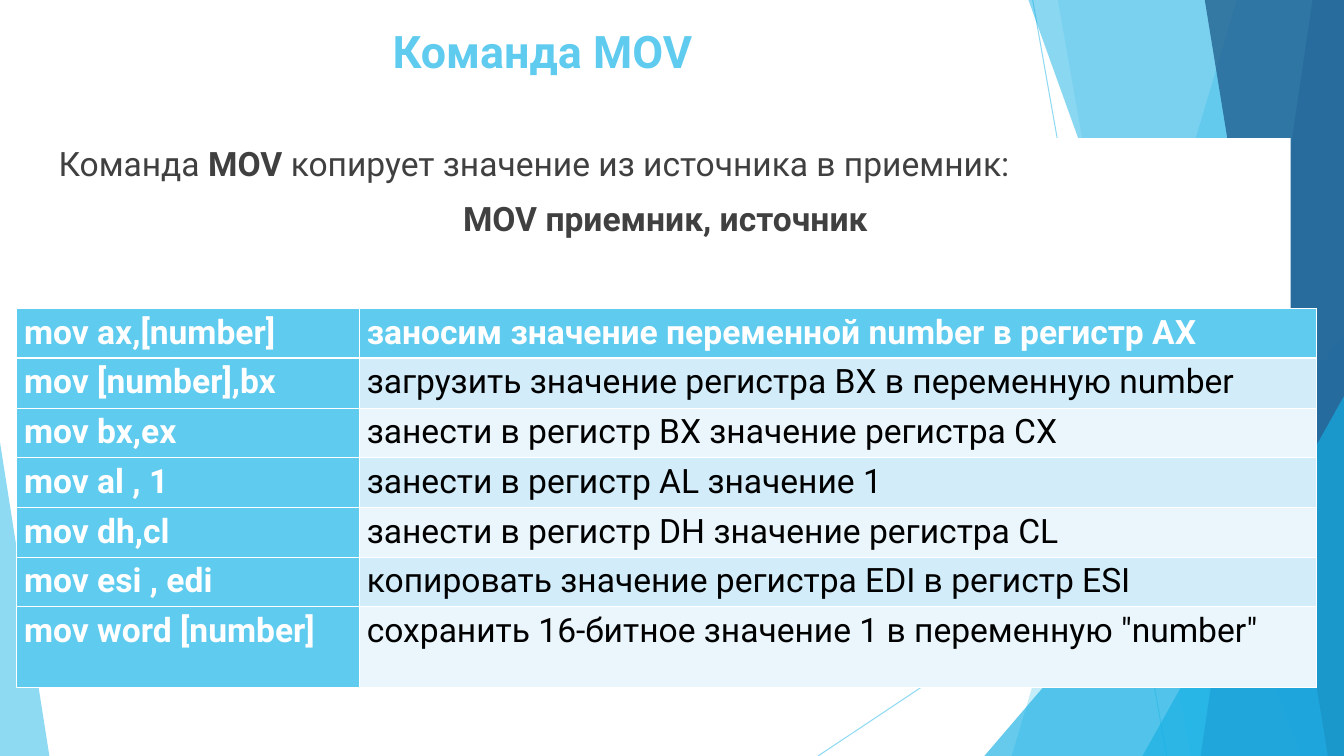
from lxml import etree
from pptx import Presentation
from pptx.dml.color import RGBColor
from pptx.enum import shapes, text
from pptx.oxml.ns import qn
from pptx.util import Pt

W, H = 960.48, 540
SKY, AZURE, BLUE, NAVY = "5FCBEF", "17B0E4", "2E83C3", "236292"
WHITE, BLACK, GREY = "FFFFFF", "000000", "404040"
PALE, PALER = "D2ECF9", "EAF6FC"

ROWS = [
    ("mov ax,[number]", "заносим значение переменной number в регистр АХ"),
    ("mov [number],bx", "загрузить значение регистра ВХ в переменную number"),
    ("mov bx,ex", "занести в регистр ВХ значение регистра СХ"),
    ("mov al , 1", "занести в регистр AL значение 1"),
    ("mov dh,сl", "занести в регистр DH значение регистра CL"),
    ("mov esi , edi", "копировать значение регистра EDI в регистр ESI"),
    ("mov word [number]", "сохранить 16-битное значение 1 в переменную \"number\""),
]


def rgb(color):
    return RGBColor.from_string(color)


def add_run(p, content, size=24, color=GREY, bold=False):
    r = p.add_run()
    r.text = content
    r.font.name = "Roboto"
    r.font.size = Pt(size)
    r.font.bold = bold
    r.font.color.rgb = rgb(color)


def set_alpha(sp, percent):
    for clr in sp.element.iter(qn("a:srgbClr")):
        etree.SubElement(clr, qn("a:alpha"), val=str(percent * 1000))


def paint(sp, color, alpha):
    sp.shadow.inherit = False
    sp.fill.solid()
    sp.fill.fore_color.rgb = rgb(color)
    sp.line.fill.background()
    set_alpha(sp, alpha)


def place(sp, box):
    sp.left, sp.top, sp.width, sp.height = map(Pt, box)


def add_ray(s, x1, y1, x2, y2):
    ln = s.shapes.add_connector(shapes.MSO_CONNECTOR.STRAIGHT,
                                Pt(x1), Pt(y1), Pt(x2), Pt(y2))
    ln.line.color.rgb = rgb(SKY)
    ln.line.width = Pt(0.75)
    etree.SubElement(ln.element.spPr, qn("a:effectLst"))
    set_alpha(ln, 70)


def add_band(s, box, top_x, bottom_x, color, alpha):
    """Full-height band with a slanted left edge, ending at the box's right."""
    x, y, w, h = box
    fb = s.shapes.build_freeform(Pt(x + top_x), Pt(y))
    fb.add_line_segments([(Pt(x + w), Pt(y)), (Pt(x + w), Pt(y + h)),
                          (Pt(x + bottom_x), Pt(y + h))], close=True)
    paint(fb.convert_to_shape(), color, alpha)


def add_triangle(s, box, apex, color, alpha):
    sp = s.shapes.add_shape(shapes.MSO_SHAPE.ISOSCELES_TRIANGLE, *map(Pt, box))
    sp.adjustments[0] = apex
    paint(sp, color, alpha)


def add_decoration(s, box):
    x, y, w, h = box
    right, bottom = x + w, y + h
    add_ray(s, x + 738, y, x + 833.8, bottom)
    add_ray(s, right, y + 290, x + 584.6, bottom)
    # Bands and triangles on the right
    add_band(s, box, 884, 723, SKY, 36)
    add_band(s, box, 756, 851, SKY, 20)
    add_triangle(s, (right - 257, bottom - 300, 257, 300), 1, AZURE, 66)
    add_band(s, box, 735, 929.5, AZURE, 50)
    add_band(s, box, 938, 858, BLUE, 70)
    add_band(s, box, 861, 949, NAVY, 80)
    add_triangle(s, (right - 144, bottom - 257, 144, 257), 1, AZURE, 66)
    # Corner triangle on the left
    add_triangle(s, (x, bottom - 224, 35.3, 224), 0, SKY, 70)


def add_title(s, box):
    title = s.shapes.title
    title.element.getparent().append(title.element)  # in front of the bands
    place(title, box)
    tf = title.text_frame
    tf.auto_size = text.MSO_AUTO_SIZE.NONE
    p = tf.paragraphs[0]
    p.alignment = text.PP_ALIGN.CENTER
    add_run(p, "Команда MOV ", size=32, color=SKY, bold=True)


def add_body(s, box):
    body = s.placeholders[1]
    body.element.getparent().append(body.element)
    place(body, box)
    body.fill.solid()
    body.fill.fore_color.rgb = rgb(WHITE)
    tf = body.text_frame
    tf.auto_size = text.MSO_AUTO_SIZE.NONE
    intro, syntax = tf.paragraphs[0], tf.add_paragraph()
    for p in (intro, syntax):
        p.space_before = Pt(10)
        pPr = p._p.get_or_add_pPr()
        pPr.set("marL", "0")
        pPr.set("indent", "0")
        etree.SubElement(pPr, qn("a:buNone"))
    add_run(intro, "Команда")
    add_run(intro, " MOV ", bold=True)
    add_run(intro, "копирует значение из источника в приемник:")
    syntax.alignment = text.PP_ALIGN.CENTER
    add_run(syntax, "MOV приемник, источник ", bold=True)


def set_borders(cell, **widths):
    tcPr = cell._tc.get_or_add_tcPr()
    for side in "LRTB":
        ln = etree.SubElement(tcPr, qn("a:ln" + side),
                              w=str(Pt(widths.get(side, 0.45))))
        fill = etree.SubElement(ln, qn("a:solidFill"))
        etree.SubElement(fill, qn("a:srgbClr"), val=WHITE)


def add_commands(s, box):
    x, y, w, h = box
    first_col, row_h = 245, 35.5
    tbl = s.shapes.add_table(len(ROWS), 2, *map(Pt, box)).table
    tbl.columns[0].width = Pt(first_col)
    tbl.columns[1].width = Pt(w - first_col)
    last = len(ROWS) - 1
    for i, row in enumerate(ROWS):
        tbl.rows[i].height = Pt(row_h if i < last else h - last * row_h)
        for j, content in enumerate(row):
            cell = tbl.cell(i, j)
            strong = i == 0 or j == 0
            cell.margin_left = cell.margin_right = Pt(5.4)
            cell.margin_top = cell.margin_bottom = Pt(3.3)
            set_borders(cell, **({"B": 1.47} if i == 0 else {"T": 1.47} if i == 1 else {}))
            cell.fill.solid()
            cell.fill.fore_color.rgb = rgb(SKY if strong else PALE if i % 2 else PALER)
            p = cell.text_frame.paragraphs[0]
            p.alignment = text.PP_ALIGN.JUSTIFY
            add_run(p, content, color=WHITE if strong else BLACK, bold=strong)


def main():
    prs = Presentation()
    prs.slide_width, prs.slide_height = Pt(W), Pt(H)
    s = prs.slides.add_slide(prs.slide_layouts[1])
    add_decoration(s, (0, 0, W, H))
    add_title(s, (53.3, 13, 676.8, 46.8))
    add_body(s, (34.6, 98.6, 887.8, 388))
    add_commands(s, (11.8, 220.3, 929, 271))
    prs.save("out.pptx")


if __name__ == "__main__":
    main()
